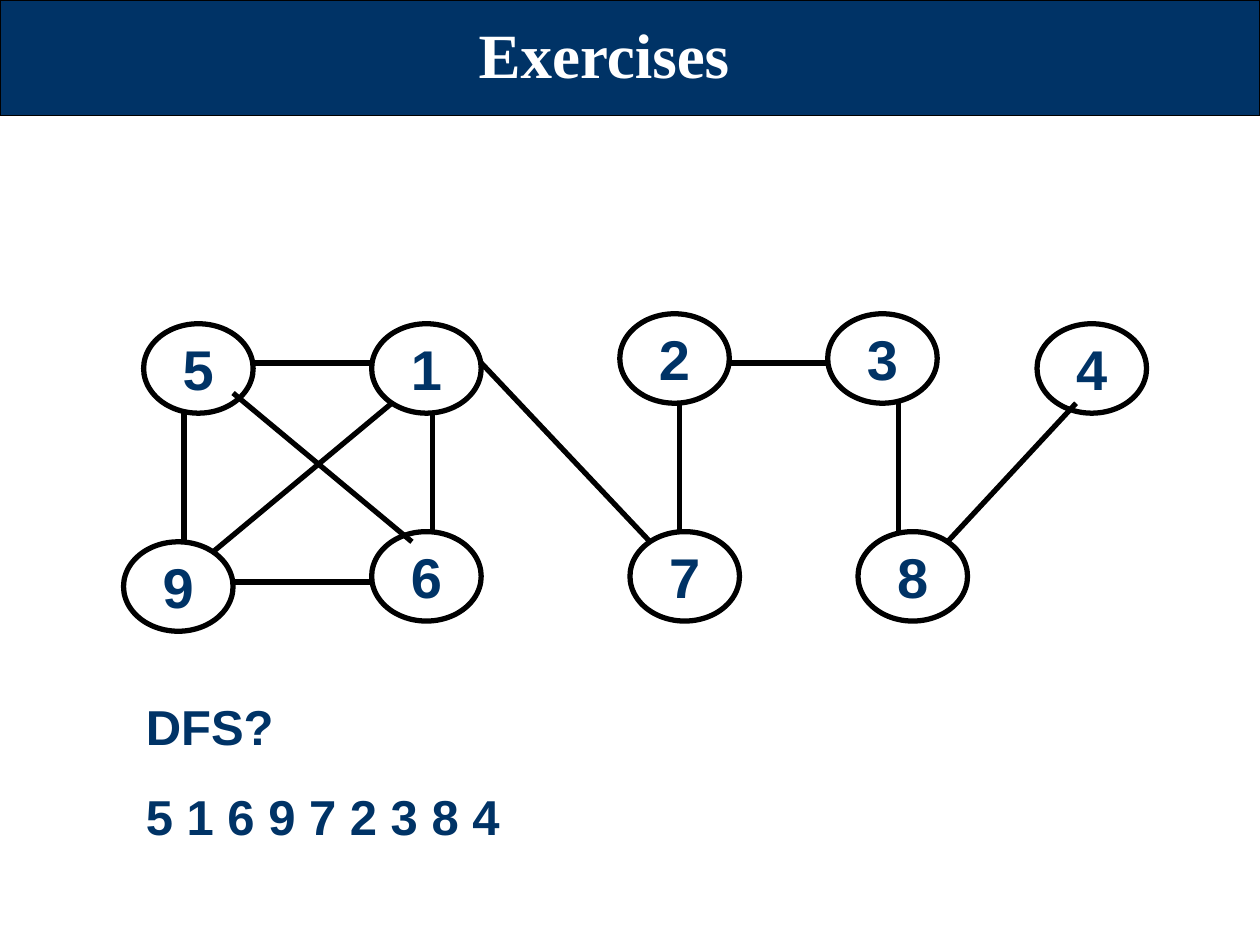
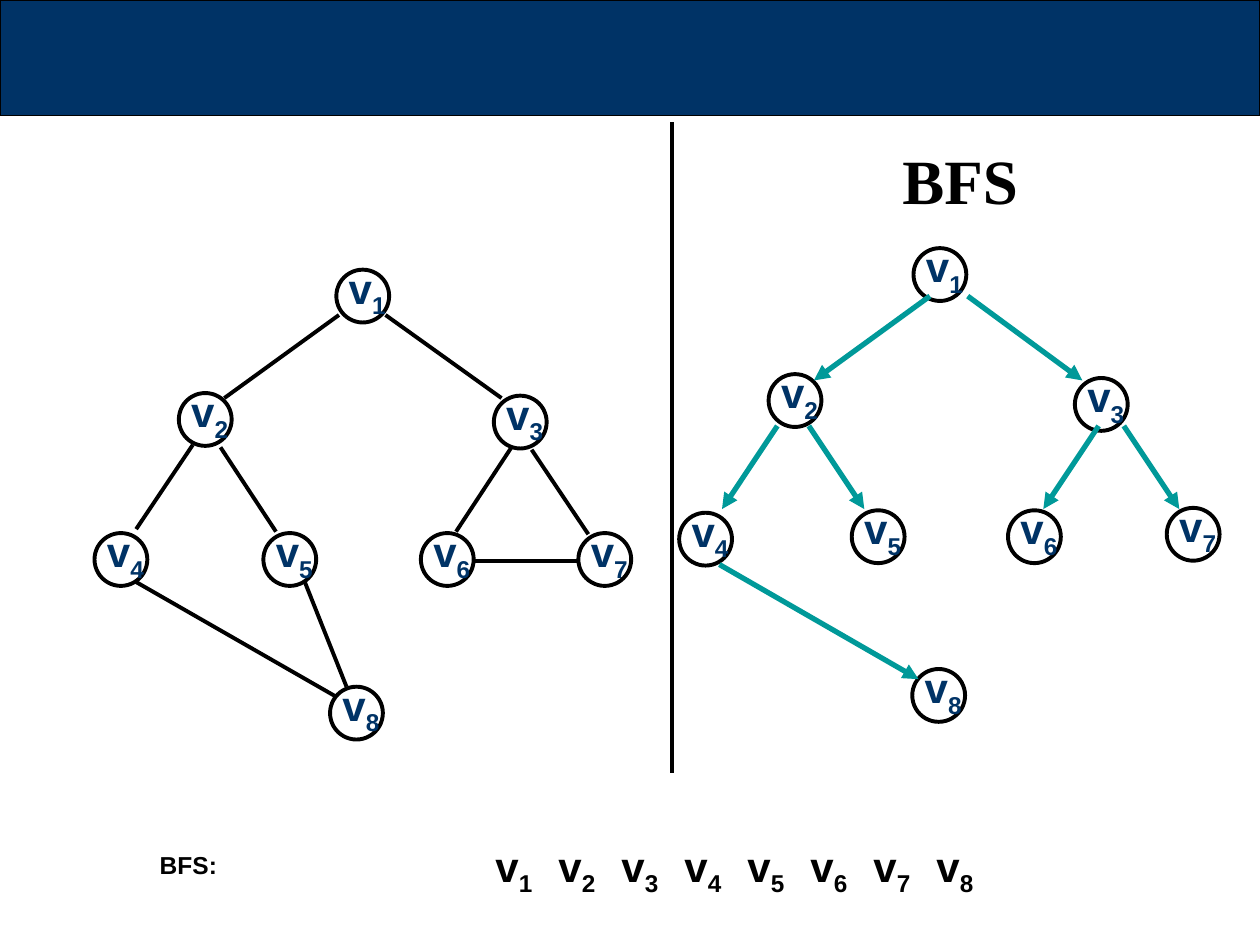
from itertools import count
from typing import NamedTuple

from pptx import Presentation
from pptx.dml.color import RGBColor
from pptx.enum import shapes, text
from pptx.oxml.ns import qn
from pptx.util import Pt
from lxml import etree

NAVY, BLACK, WHITE, TEAL = "003366", "000000", "FFFFFF", "009999"
BODY_FONT, TITLE_FONT = "Arial", "Times New Roman"
SLIDE_WIDTH, SLIDE_HEIGHT, BAND_HEIGHT = 720, 540, 66.2
OVAL_WIDTH, OVAL_HEIGHT = 62.6, 51.1
CIRCLE_SIZE = 30.2
LABEL_WIDTH, LABEL_HEIGHT, LABEL_RISE = 54, 40.3, 7.8


class Box(NamedTuple):
    left: float
    top: float
    width: float
    height: float

    def lengths(self) -> list:
        return [Pt(value) for value in self]


class Node(NamedTuple):
    number: int
    left: float
    top: float


class Edge(NamedTuple):
    x1: float
    y1: float
    x2: float
    y2: float


# Exercise graph
EXERCISE_NODES = [
    Node(5, 82.1, 185), Node(1, 212.4, 185), Node(9, 70.6, 309.6),
    Node(6, 212.4, 303.8), Node(2, 354.2, 179.3), Node(7, 360, 303.8),
    Node(3, 473, 179.3), Node(8, 490.3, 303.8), Node(4, 592.6, 185),
]
EXERCISE_EDGES = [
    Edge(144.7, 207.4, 212.4, 207.4), Edge(105.1, 236.2, 105.1, 309.6),
    Edge(133.2, 332.6, 212.4, 332.6), Edge(247, 236.2, 247, 303.8),
    Edge(121.7, 315.4, 223.9, 230.4), Edge(133.2, 224.6, 235.4, 309.6),
    Edge(275, 207.4, 371.5, 309.6), Edge(388.1, 230.4, 388.1, 303.8),
    Edge(513.4, 230.4, 513.4, 303.8), Edge(541.4, 309.6, 614.9, 230.4),
    Edge(473, 207.4, 416.9, 207.4),
]

# Graph and its breadth-first tree
GRAPH_NODES = [
    Node(1, 192.2, 154.1), Node(2, 102.2, 224.6), Node(3, 282.2, 226.1),
    Node(4, 54, 304.6), Node(5, 150.5, 304.6), Node(6, 240.5, 304.6),
    Node(7, 330.5, 304.6), Node(8, 188.6, 392.4),
]
GRAPH_EDGES = [
    Edge(193.7, 180, 128.2, 227.5), Edge(220.3, 180, 286.6, 227.5),
    Edge(110.2, 254.2, 77.8, 302.4), Edge(292.3, 255.6, 260.6, 303.8),
    Edge(126, 255.6, 157.7, 303.8), Edge(303.8, 257, 336.2, 305.3),
    Edge(77.8, 332.6, 192.2, 398.2), Edge(174.2, 332.6, 198, 392.4),
    Edge(270, 320.4, 329.8, 320.4),
]
TREE_NODES = [
    Node(1, 522, 141.8), Node(2, 439.2, 213.8), Node(3, 614.2, 216),
    Node(4, 388.1, 293), Node(5, 486.7, 291.6), Node(6, 576, 291.6),
    Node(7, 666.7, 290.2), Node(8, 521.3, 382.3),
]
TREE_EDGES = [
    Edge(531.4, 169.2, 465.1, 217.4), Edge(553, 169.2, 618.5, 217.4),
    Edge(444.2, 243.4, 412.6, 290.9), Edge(627.8, 243.4, 596.2, 290.9),
    Edge(462.2, 243.4, 493.9, 290.9), Edge(642.2, 243.4, 673.9, 290.9),
    Edge(411.1, 322.6, 524.9, 388.1),
]


def paint(color_format, color: str) -> None:
    color_format.rgb = RGBColor.from_string(color)


# Text
def write(frame, words: str, *, size: float, color: str = NAVY, font: str = BODY_FONT,
          align=text.PP_ALIGN.LEFT, before: float = 0, subscript: str = "") -> None:
    """Fill a frame with one paragraph per line of words."""
    for index, line in enumerate(words.split("\n")):
        paragraph = frame.add_paragraph() if index else frame.paragraphs[0]
        paragraph.alignment = align
        paragraph.space_before = Pt(before)
        for part in filter(None, (line, subscript)):
            run = paragraph.add_run()
            run.text = part
            run.font.size, run.font.name, run.font.bold = Pt(size), font, True
            paint(run.font.color, color)
        if subscript:
            run._r.get_or_add_rPr().set("baseline", "-25000")


def add_text(slide, box: Box, words: str, **style) -> None:
    frame = slide.shapes.add_textbox(*box.lengths()).text_frame
    frame.word_wrap = True
    frame.auto_size = text.MSO_AUTO_SIZE.SHAPE_TO_FIT_TEXT
    write(frame, words, **style)


def add_vertex_label(slide, number: int, left: float, top: float, color: str = NAVY) -> None:
    add_text(slide, Box(left, top, LABEL_WIDTH, LABEL_HEIGHT), "v", size=24,
             color=color, before=15, subscript=str(number))


# Shapes and lines
def add_outline(slide, kind, box: Box, weight: float, fill: str = ""):
    shape = slide.shapes.add_shape(kind, *box.lengths())
    shape.shadow.inherit = False
    if fill:
        shape.fill.solid()
        paint(shape.fill.fore_color, fill)
    else:
        shape.fill.background()
    paint(shape.line.color, BLACK)
    shape.line.width = Pt(weight)
    return shape


def add_edge(slide, edge: Edge, weight: float, color: str = BLACK, arrow: bool = False) -> None:
    connector = slide.shapes.add_connector(
        shapes.MSO_CONNECTOR.STRAIGHT, *(Pt(value) for value in edge))
    paint(connector.line.color, color)
    connector.line.width = Pt(weight)
    properties = connector.element.spPr
    if arrow:
        etree.SubElement(properties.find(qn("a:ln")), qn("a:tailEnd"), type="triangle")
    etree.SubElement(properties, qn("a:effectLst"))


def add_oval(slide, node: Node) -> None:
    oval = add_outline(slide, shapes.MSO_SHAPE.FLOWCHART_CONNECTOR,
                       Box(node.left, node.top, OVAL_WIDTH, OVAL_HEIGHT), 3)
    frame = oval.text_frame
    frame.word_wrap = False
    frame.vertical_anchor = text.MSO_ANCHOR.MIDDLE
    write(frame, str(node.number), size=32, align=text.PP_ALIGN.CENTER)


def add_vertex(slide, node: Node) -> None:
    add_outline(slide, shapes.MSO_SHAPE.OVAL,
                Box(node.left, node.top, CIRCLE_SIZE, CIRCLE_SIZE), 2.25)
    add_vertex_label(slide, node.number, node.left, node.top - LABEL_RISE)


# Shared slide frame: band and title
def add_slide(deck, heading: str, box: Box, color: str):
    slide = deck.slides.add_slide(deck.slide_layouts.get_by_name("Title Only"))
    add_outline(slide, shapes.MSO_SHAPE.RECTANGLE,
                Box(0, 0, SLIDE_WIDTH, BAND_HEIGHT), 0.75, NAVY)
    title = slide.shapes.title
    title.left, title.top, title.width, title.height = box.lengths()
    title.element.getparent().append(title.element)  # in front of the band
    frame = title.text_frame
    frame.word_wrap = True
    frame.auto_size = text.MSO_AUTO_SIZE.NONE
    frame.vertical_anchor = text.MSO_ANCHOR.MIDDLE
    write(frame, heading, size=36, color=color, font=TITLE_FONT,
          align=text.PP_ALIGN.CENTER)
    return slide


def build_exercise(deck) -> None:
    slide = add_slide(deck, "Exercises", Box(30.2, 3.6, 630, 54), WHITE)
    for node in EXERCISE_NODES:
        add_oval(slide, node)
    for edge in EXERCISE_EDGES:
        add_edge(slide, edge, 3)
    add_text(slide, Box(76.3, 394.6, 584, 92.2), "DFS?\n5 1 6 9 7 2 3 8 4",
             size=28, before=17.5)


def build_bfs(deck) -> None:
    slide = add_slide(deck, "BFS", Box(365.8, 80, 365.8, 44.6), BLACK)
    for node in GRAPH_NODES + TREE_NODES:
        add_vertex(slide, node)
    for edge in GRAPH_EDGES:
        add_edge(slide, edge, 2.25)
    for edge in TREE_EDGES:
        add_edge(slide, edge, 3, TEAL, arrow=True)
    divider = Edge(384, 69.8, 384, 442)
    add_edge(slide, divider, 2.25)

    # Visiting order
    add_text(slide, Box(84.2, 482.4, 192, 24.5), "BFS:", size=14, color=BLACK, before=8.8)
    for number, left in zip(range(1, 9), count(276, 36)):
        add_vertex_label(slide, number, left, 476.6, BLACK)


def main() -> None:
    deck = Presentation()
    deck.slide_width, deck.slide_height = Pt(SLIDE_WIDTH), Pt(SLIDE_HEIGHT)
    build_exercise(deck)
    build_bfs(deck)
    deck.save("out.pptx")


if __name__ == "__main__":
    main()
